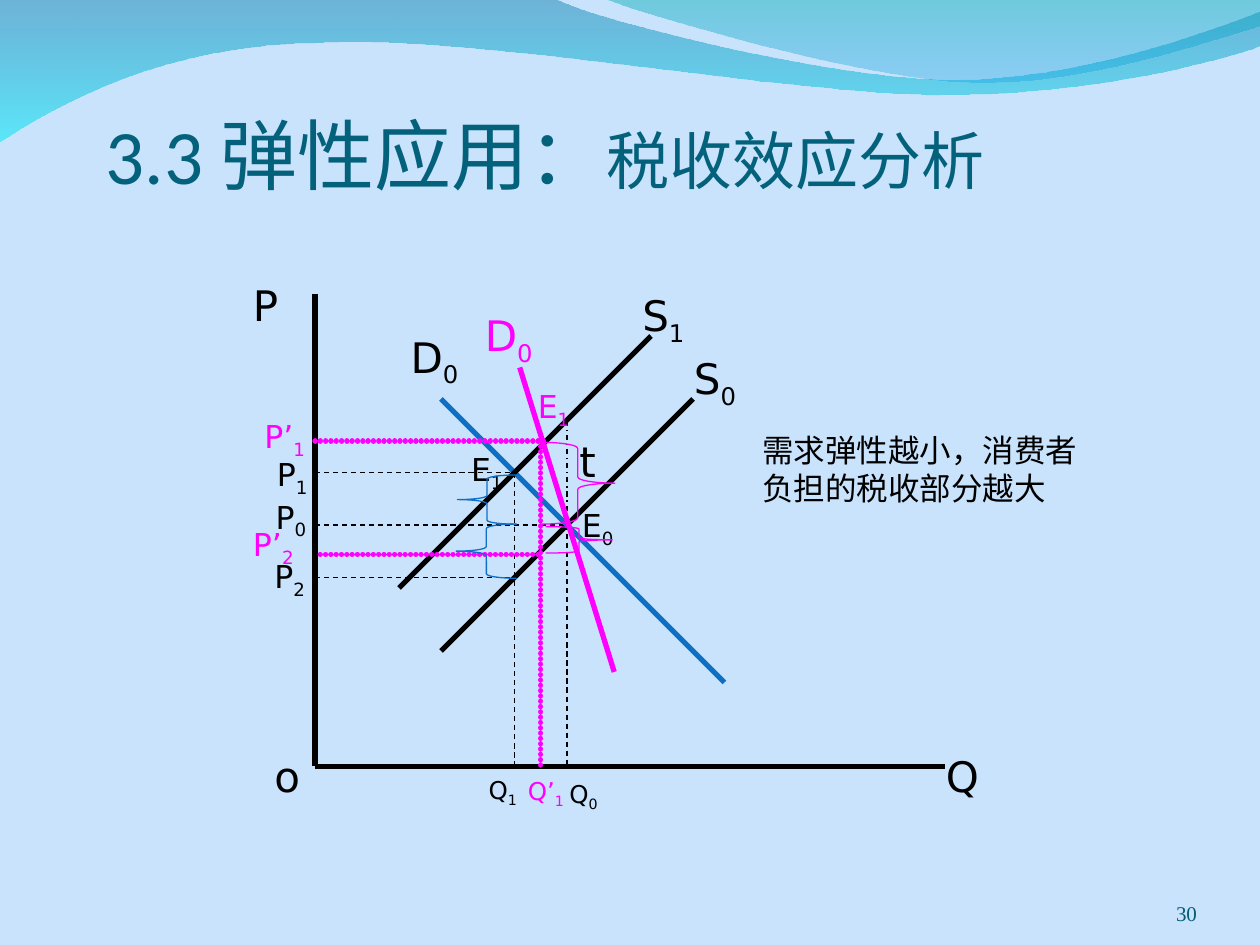
"""Draw the tax incidence slide: a supply and demand chart under a wave header."""
from lxml import etree
from pptx import Presentation
from pptx.dml.color import RGBColor
from pptx.enum.dml import MSO_LINE
from pptx.enum.shapes import MSO_CONNECTOR, MSO_SHAPE
from pptx.enum.text import MSO_ANCHOR, PP_ALIGN
from pptx.oxml.ns import qn
from pptx.util import Cm, Pt

STRAIGHT = MSO_CONNECTOR.STRAIGHT
LEFT, RIGHT = MSO_SHAPE.LEFT_BRACE, MSO_SHAPE.RIGHT_BRACE
DASH, MIXED = MSO_LINE.DASH, MSO_LINE.DASH_DOT
TOP, BOTTOM = MSO_ANCHOR.TOP, MSO_ANCHOR.BOTTOM
START, END = PP_ALIGN.LEFT, PP_ALIGN.RIGHT
BLACK = RGBColor(0, 0, 0)
BLUE = RGBColor(0x0F, 0x6F, 0xC6)
PINK = RGBColor(0xFF, 0, 0xFF)
TEAL = RGBColor(0x04, 0x61, 0x7B)
PAGE = RGBColor(0x04, 0x5C, 0x75)
SKY = RGBColor(0xC8, 0xE3, 0xFB)
SANS, SERIF, HEAD = "DejaVu Sans", "Times New Roman", "Calibri"
DOTS = "dots"
GRID = 12

WAVES = [
    ([[(0, -0.01)], [(4.4, -0.01)],
      [(4.76, 0.17), (6.64, 0.63), (7.58, 0.63)],
      [(8.53, 0.63), (9.58, 0.26), (10, 0.09)], [(10.01, 0.36)],
      [(9.83, 0.44), (8.7, 0.76), (7.46, 0.75)],
      [(6.22, 0.75), (3.82, 0.28), (2.57, 0.34)],
      [(1.29, 0.35), (0.46, 0.83), (-0.01, 1.13)]],
     [(RGBColor(0, 0x79, 0xAF), 45), (RGBColor(0, 0xEB, 0xF8), 55)]),
    ([[(4.79, -0.01)],
      [(5.09, 0.11), (6.82, 0.62), (7.69, 0.65)],
      [(8.56, 0.69), (9.61, 0.32), (10, 0.21)], [(10, 0)]],
     [(RGBColor(0, 0xAD, 0xB6), 45), (RGBColor(0, 0x9B, 0xE5), 30)]),
]

X0, Y0 = 30, 73
Q0, Q1, QT = 54, 49, 51.5
P0, P1, P2, PT1, PT2 = 50, 45, 55, 42, 52.8
LINES = [
    (X0, 28, X0, Y0, BLACK, 3, None),
    (X0, Y0, 90, Y0, BLACK, 3, None),
    (X0, P0, Q0, P0, BLACK, 0.75, DASH),
    (Q0, P0, Q0, Y0, BLACK, 0.75, DASH),
    (42, 62, 66, 38, BLACK, 3, None),
    (42, 38, 69, 65, BLUE, 3, None),
    (38, 56, 62, 32, BLACK, 3, None),
    (X0, P1, Q1, P1, BLACK, 0.75, DASH),
    (Q1, P1, Q1, Y0, BLACK, 0.75, DASH),
    (X0, P2, Q1, P2, BLACK, 0.75, DASH),
    (Q0, P0, Q0, 40, BLACK, 0.75, MIXED),
    (49.5, 35, 58.5, 64, PINK, 3, None),
    (X0, PT1, 52, PT1, PINK, 3, DOTS),
    (QT, PT1, QT, Y0, PINK, 3, DOTS),
    (30.5, PT2, QT, PT2, PINK, 3, DOTS),
]

LABELS = [
    ("o", "", 2.08, 5.91, 0.5, 24, BLACK),
    ("Q", "", 7.41, 5.91, 0.5, 24, BLACK),
    ("P", "", 1.91, 2.17, 0.5, 24, BLACK),
    ("S", "0", 5.41, 2.75, 1.33, 24, BLACK),
    ("E", "0", 4.52, 3.97, 0.58, 18, BLACK),
    ("P", "0", 2.09, 3.9, 0.5, 18, BLACK),
    ("Q", "0", 4.42, 6.13, 0.66, 14, BLACK),
    ("D", "0", 3.16, 2.58, 1.42, 24, BLACK),
    ("S", "1", 5, 2.25, 1.33, 24, BLACK),
    ("E", "1", 3.64, 3.52, 0.53, 18, BLACK),
    ("P", "1", 2.1, 3.56, 0.5, 18, BLACK),
    ("Q", "1", 3.78, 6.1, 0.6, 14, BLACK),
    ("P", "2", 2.08, 4.37, 0.5, 18, BLACK),
    ("t", "", 4.5, 3.41, 0.5, 24, BLACK),
    ("D", "0", 3.75, 2.41, 1.42, 24, PINK),
    ("E", "1", 4.17, 3.02, 1, 18, PINK),
    ("P’", "1", 2, 3.26, 0.63, 18, PINK),
    ("Q’", "1", 4.09, 6.11, 0.49, 14, PINK),
    ("P’", "2", 1.91, 4.12, 0.66, 18, PINK),
]
TALL = {24: 0.56, 18: 0.44, 14: 0.37}
NOTE = "需求弹性越小，消费者负担的税收部分越大"

BRACES = [
    (LEFT, 3.63, 3.77, 0.47, 0.39, BLUE),
    (LEFT, 3.62, 4.16, 0.48, 0.43, BLUE),
    (RIGHT, 4.29, 3.51, 0.59, 0.65, PINK),
    (RIGHT, 4.33, 4.18, 0.53, 0.21, PINK),
]


def inch(*vals):
    return [Cm(v * 2.54) for v in vals]


def put(item, **vals):
    for name, val in vals.items():
        setattr(item, name, val)


def bend(shape, parts):
    nodes = list(shape._element.iter(qn("a:lnTo")))
    for node, part in zip(nodes, parts[1:]):
        if len(part) == 1:
            continue
        node.tag = qn("a:cubicBezTo")
        for i, point in enumerate(part[:-1]):
            x, y = inch(*point)
            knot = etree.Element(qn("a:pt"), x=str(x - shape.left), y=str(y - shape.top))
            node.insert(i, knot)


def wave(slide, parts, stops):
    ends = [inch(*part[-1]) for part in parts]
    pen = slide.shapes.build_freeform(*ends[0], scale=1.0)
    pen.add_line_segments(ends[1:], close=True)
    shape = pen.convert_to_shape()
    bend(shape, parts)
    shape.shadow.inherit = False
    shape.line.fill.background()
    fill = shape.fill
    fill.gradient()
    fill.gradient_angle = 270
    for stop, (color, clear) in zip(fill.gradient_stops, stops):
        stop.color.rgb = color
    nodes = shape._element.spPr.iter(qn("a:srgbClr"))
    for node, (color, clear) in zip(nodes, stops):
        etree.SubElement(node, qn("a:alpha"), val=str(clear * 1000))


def stroke(slide, ends, color, width, dash):
    spots = inch(*(v / GRID for v in ends))
    link = slide.shapes.add_connector(STRAIGHT, *spots)
    link.line.color.rgb = color
    link.line.width = Pt(width)
    if dash == DOTS:
        ln = link.line._get_or_add_ln()
        ln.set("cap", "rnd")
        cust = etree.SubElement(ln, qn("a:custDash"))
        etree.SubElement(cust, qn("a:ds"), d="1000", sp="100000")
    elif dash:
        link.line.dash_style = dash
    etree.SubElement(link._element.spPr, qn("a:effectLst"))


def text(slide, at, runs, color, font=SANS, align=START, anchor=TOP,
         pads=(0.1, 0.05, 0.1, 0.05)):
    frame = slide.shapes.add_textbox(*inch(*at)).text_frame
    sides = ("margin_left", "margin_top", "margin_right", "margin_bottom")
    put(frame, word_wrap=True, vertical_anchor=anchor,
        **dict(zip(sides, inch(*pads))))
    para = frame.paragraphs[0]
    para.alignment = align
    for words, size, base in runs:
        run = para.add_run()
        run.text = words
        put(run.font, size=Pt(size), name=font)
        run.font.color.rgb = color
        if base:
            run._r.get_or_add_rPr().set("baseline", str(base * 1000))


def main():
    deck = Presentation()
    deck.slide_width, deck.slide_height = inch(10, 7.5)
    slide = deck.slides.add_slide(deck.slide_layouts[6])
    back = slide.background.fill
    back.solid()
    back.fore_color.rgb = SKY
    for parts, stops in WAVES:
        wave(slide, parts, stops)
    text(slide, (8.67, 6.95, 0.83, 0.4), [("30", 12, 0)], PAGE, SERIF,
         END, BOTTOM, (0, 0, 0, 0))
    text(slide, (0.84, 0.76, 8.5, 0.83),
         [("3.3 弹性应用：", 44, 0), ("税收效应分析", 36, 0)], TEAL, HEAD,
         START, BOTTOM, (0, 0.05, 0, 0))
    for *ends, color, width, dash in LINES:
        stroke(slide, ends, color, width, dash)
    for name, sub, x, y, w, size, color in LABELS:
        runs = [(name, size, 0)] + ([(sub, size, -25)] if sub else [])
        text(slide, (x, y, w, TALL[size] if sub else 0.5), runs, color)
    text(slide, (5.95, 3.37, 2.75, 0.7), [(NOTE, 18, 0)], BLACK)
    for kind, x, y, w, h, color in BRACES:
        brace = slide.shapes.add_shape(kind, *inch(x, y, w, h))
        brace.shadow.inherit = False
        brace.fill.background()
        brace.line.color.rgb = color
        brace.line.width = Pt(0.75)
    deck.save("out.pptx")


if __name__ == "__main__":
    main()
